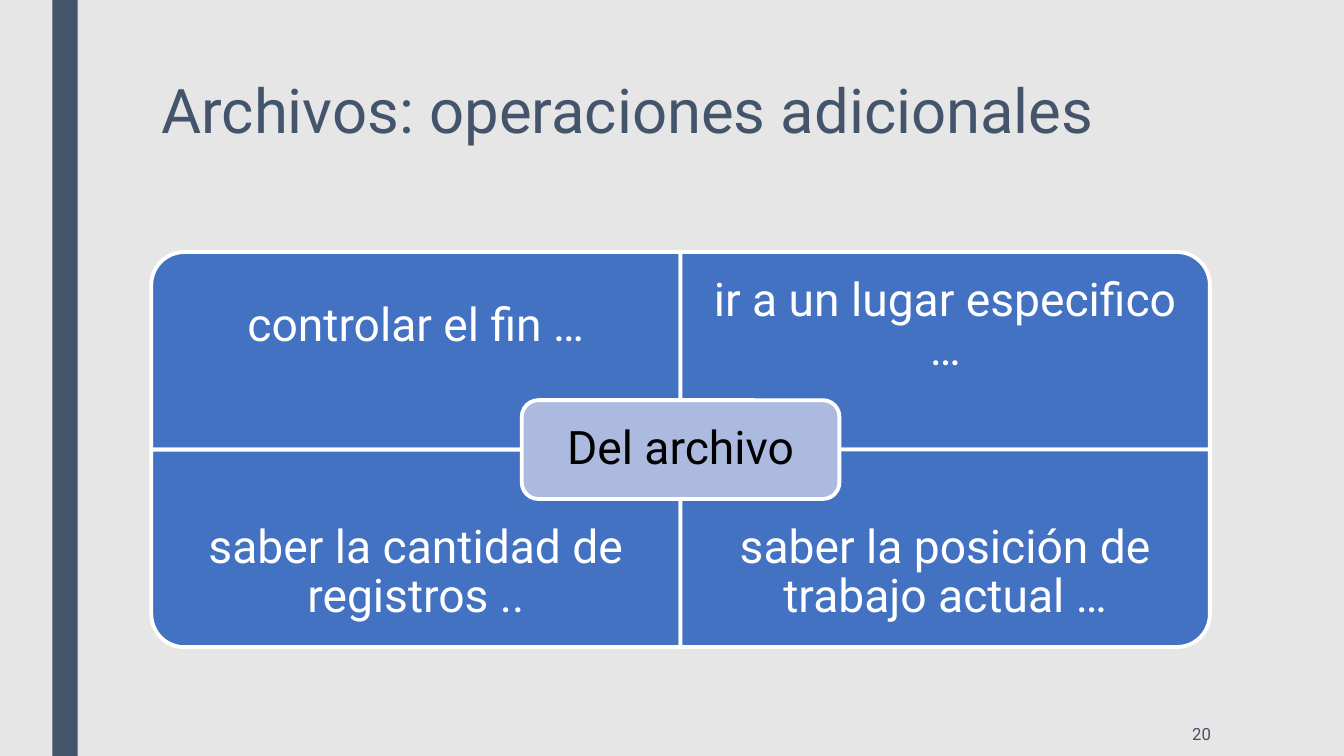
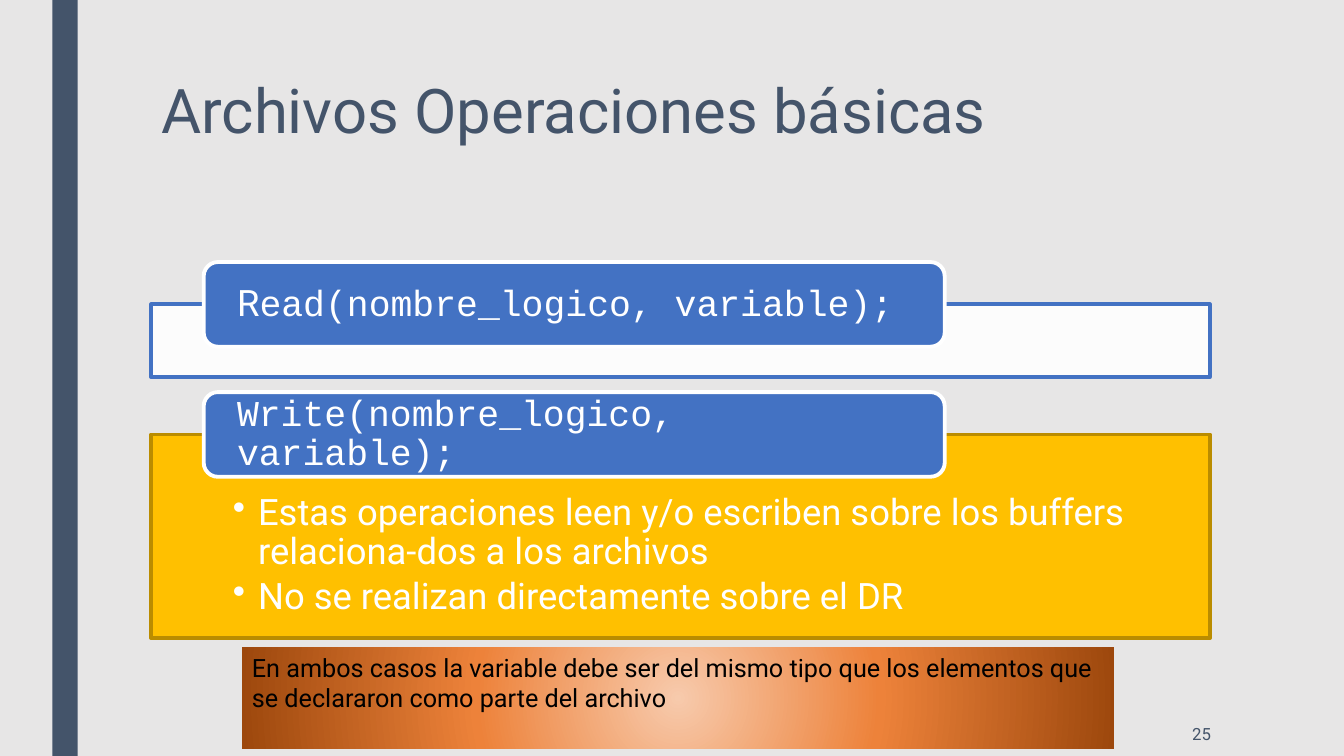
from lxml.etree import SubElement
from pptx import Presentation
from pptx.dml.color import RGBColor
from pptx.enum.shapes import MSO_SHAPE
from pptx.enum.text import MSO_ANCHOR, MSO_AUTO_SIZE, PP_ALIGN
from pptx.oxml import parse_xml
from pptx.oxml.ns import nsdecls, qn
from pptx.util import Inches, Pt

HUES = {
    "back": "E7E6E6", "slate": "44546A", "blue": "4372C3", "pale": "ABBADE",
    "white": "FFFFFF", "black": "000000", "gold": "FFC000", "dark": "BA8C00",
    "glow": "F7CAAC", "orange": "ED823A", "rust": "9D480D",
}
SANS, MONO = "Roboto", "Courier New"
BODY = (1.5, 2.5, 10.5, 3.92)
ROUND = 0.167


def rgb(hue):
    return RGBColor.from_string(HUES[hue])


def place(box):
    return [Inches(side) for side in box]


def add_bullet(para, hue):
    props = para._p.get_or_add_pPr()
    props.set("marL", str(Inches(0.25)))
    props.set("indent", str(-Inches(0.25)))
    color = SubElement(props, qn("a:buClr"))
    SubElement(color, qn("a:srgbClr"), val=HUES[hue])
    SubElement(props, qn("a:buChar"), char="•")


def write(shape, *paras, size=26, hue="white", font=SANS, align=PP_ALIGN.LEFT,
          anchor=MSO_ANCHOR.TOP, pad=(0.1, 0.05, 0.1, 0.05), lead=0.9,
          gap=0, bullet=False):
    """Each paragraph is a string or a list of (text, font) pairs."""
    frame = shape.text_frame
    frame.word_wrap = True
    frame.auto_size = MSO_AUTO_SIZE.NONE
    frame.vertical_anchor = anchor
    (frame.margin_left, frame.margin_top,
     frame.margin_right, frame.margin_bottom) = place(pad)
    for i, runs in enumerate(paras):
        para = frame.add_paragraph() if i else frame.paragraphs[0]
        if bullet:
            add_bullet(para, hue)
        para.alignment, para.line_spacing = align, lead
        para.space_before = Pt(gap if i else 0)
        for text, face in [(runs, font)] if isinstance(runs, str) else runs:
            run = para.add_run()
            run.text = text
            run.font.name, run.font.size = face, Pt(size)
            run.font.color.rgb = rgb(hue)


def add_box(slide, kind, box, fill=None, line=None, turn=0):
    shape = slide.shapes.add_shape(kind, *place(box))
    shape.shadow.inherit = False
    shape.rotation = turn
    if fill:
        shape.fill.solid()
        shape.fill.fore_color.rgb = rgb(fill)
    if line:
        shape.line.color.rgb = rgb(line)
        shape.line.width = Pt(2.75)
    else:
        shape.line.fill.background()
    if kind != MSO_SHAPE.RECTANGLE:
        shape.adjustments[0] = ROUND
    return shape


def add_text(slide, box, text, **style):
    write(slide.shapes.add_textbox(*place(box)), text, **style)


# Shared frame: side band, title, page number
def add_page(deck, title, number):
    slide = deck.slides.add_slide(deck.slide_layouts[5])
    add_box(slide, MSO_SHAPE.RECTANGLE, (0.52, 0, 0.25, 7.5), "slate")
    head = slide.shapes.title
    head.left, head.top, head.width, head.height = place((1.5, 0.75, 10.5, 1.62))
    write(head, title, size=44, hue="slate", lead=0.89)
    add_text(slide, (10.36, 7.06, 1.75, 0.44), number, size=12, hue="slate",
             align=PP_ALIGN.RIGHT, anchor=MSO_ANCHOR.MIDDLE, lead=1)
    return slide


# Four quarters with a label over the centre
def add_matrix(slide, box, core, items):
    left, top, width, height = box
    wide, high = width / 2, height / 2
    style = dict(size=33, align=PP_ALIGN.CENTER, anchor=MSO_ANCHOR.MIDDLE)
    for i, (text, turn) in enumerate(zip(items, (270, 0, 180, 90))):
        row, col = divmod(i, 2)
        x, y = left + col * wide, top + row * high
        # Quarter turns swap the sides about the same centre
        w, h = (high, wide) if turn % 180 else (wide, high)
        spot = (x + (wide - w) / 2, y + (high - h) / 2, w, h)
        add_box(slide, MSO_SHAPE.ROUND_1_RECTANGLE, spot, "blue", "white", turn)
        tall = high * 0.75
        add_text(slide, (x, y + row * (high - tall), wide, tall), text,
                 pad=(0.26,) * 4, **style)
    w, h = wide * 0.6, high / 2
    spot = (left + wide - w / 2, top + high - h / 2, w, h)
    label = add_box(slide, MSO_SHAPE.ROUNDED_RECTANGLE, spot, "pale", "white")
    write(label, core, hue="black", pad=(0.14,) * 4, **style)


# Panel with a code tab over its top edge
def add_panel(slide, box, code, notes=(), fill="white", line="blue", alpha=100):
    left, top, width, height = box
    panel = add_box(slide, MSO_SHAPE.RECTANGLE, box, fill, line)
    if alpha < 100:
        color = panel.fill._xPr.find(qn("a:solidFill"))[0]
        SubElement(color, qn("a:alpha"), val=str(alpha * 1000))
    if notes:
        write(panel, *notes, pad=(0.81, 0.59, 0.81, 0.2), gap=3.9, bullet=True)
    tab = add_box(slide, MSO_SHAPE.ROUNDED_RECTANGLE,
                  (left + 0.52, top - 0.42, width * 0.7, 0.84), "blue", "white")
    write(tab, code, font=MONO, anchor=MSO_ANCHOR.MIDDLE, pad=(0.29, 0, 0.32, 0))


# Note on a radial gradient
def add_note(slide, box, text):
    note = add_box(slide, MSO_SHAPE.RECTANGLE, box)
    stops = "".join(
        f'<a:gs pos="{pos * 1000}"><a:srgbClr val="{HUES[hue]}"/></a:gs>'
        for pos, hue in ((0, "glow"), (46, "orange"), (100, "rust")))
    fill = parse_xml(
        f'<a:gradFill {nsdecls("a")} rotWithShape="1"><a:gsLst>{stops}</a:gsLst>'
        '<a:path path="circle"><a:fillToRect l="50000" t="50000" r="50000" '
        'b="50000"/></a:path></a:gradFill>')
    note.element.spPr.find(qn("a:prstGeom")).addnext(fill)
    write(note, text, size=18, hue="black", lead=1)


def main():
    deck = Presentation()
    deck.slide_width, deck.slide_height = Inches(13.33), Inches(7.5)
    back = deck.slide_master.background.fill
    back.solid()
    back.fore_color.rgb = rgb("back")

    slide = add_page(deck, "Archivos: operaciones adicionales", "20")
    add_matrix(slide, BODY, "Del archivo", (
        "controlar el fin …", "ir a un lugar especifico …",
        "saber la cantidad de registros ..",
        "saber la posición de trabajo actual …"))

    slide = add_page(deck, "Archivos Operaciones básicas", "25")
    add_panel(slide, (1.5, 3.02, 10.5, 0.72),
              [("R", SANS), ("ead(nombre_logico, variable);", MONO)], alpha=90)
    add_panel(slide, (1.5, 4.31, 10.5, 2.02), "Write(nombre_logico, variable);", (
        "Estas operaciones leen y/o escriben sobre los buffers "
        "relaciona-dos a los archivos",
        "No se realizan directamente sobre el DR"), "gold", "dark")
    add_note(slide, (2.4, 6.42, 8.65, 1.01),
             "En ambos casos la variable debe ser del mismo tipo que los "
             "elementos que se declararon como parte del archivo")
    deck.save("out.pptx")


if __name__ == "__main__":
    main()
